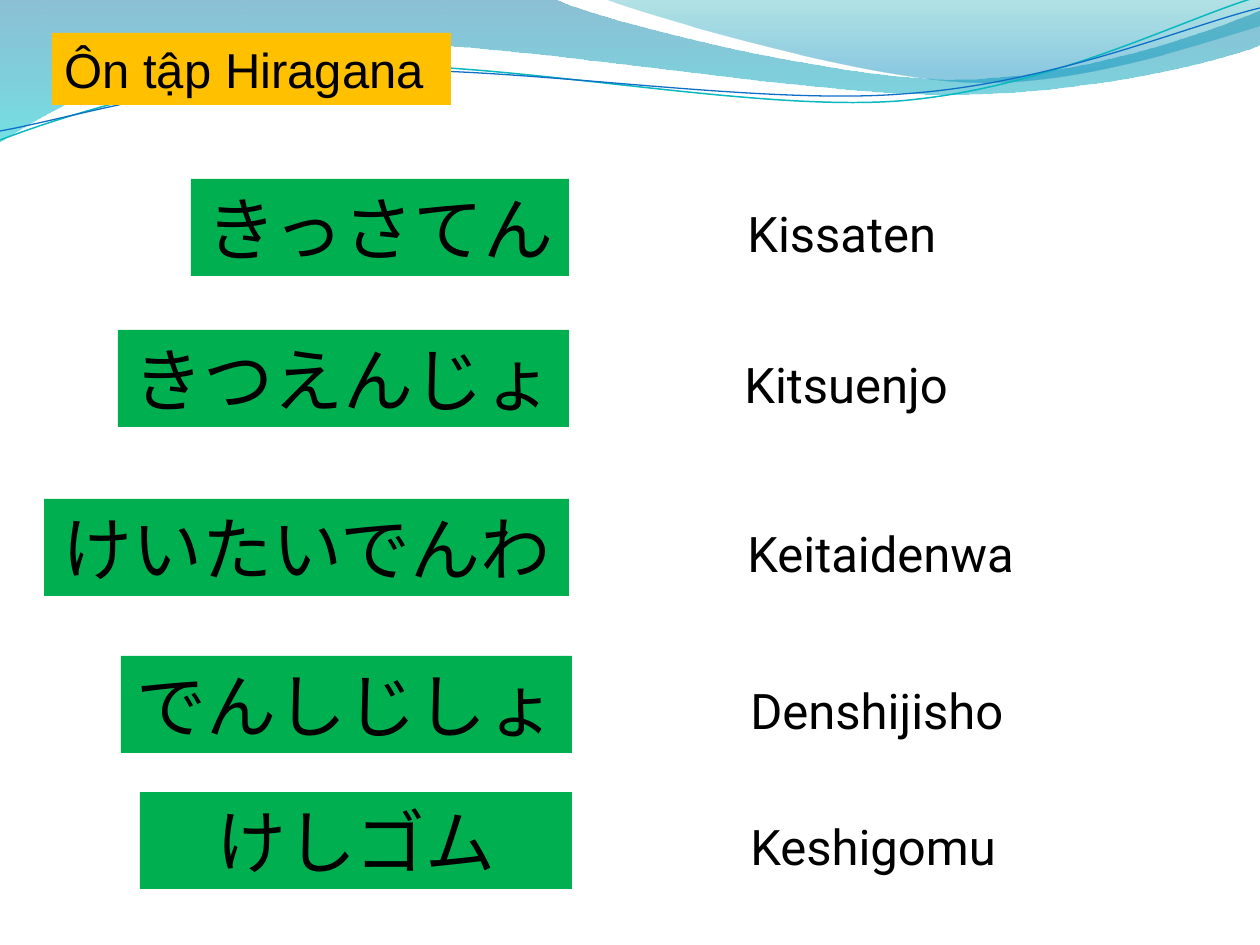
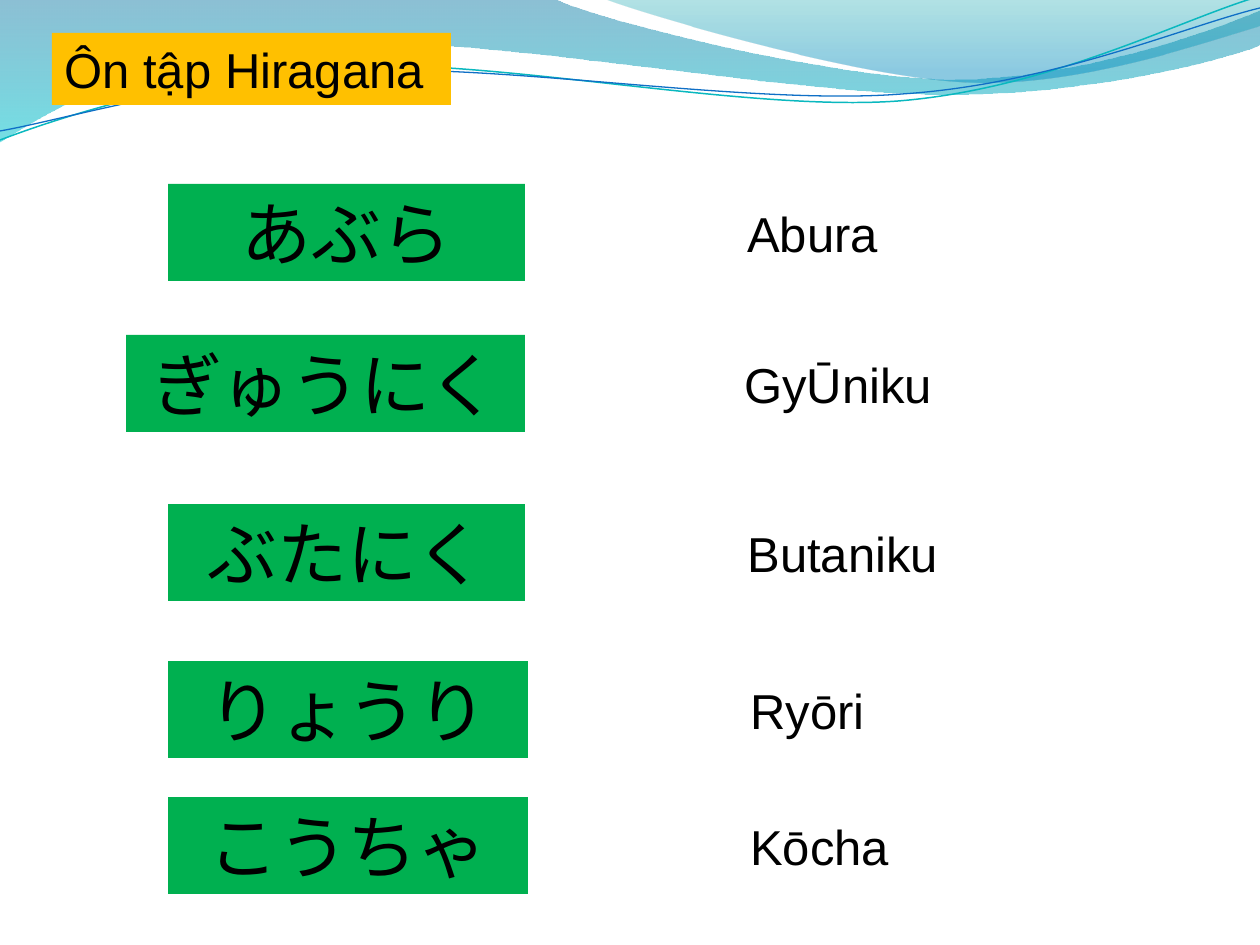
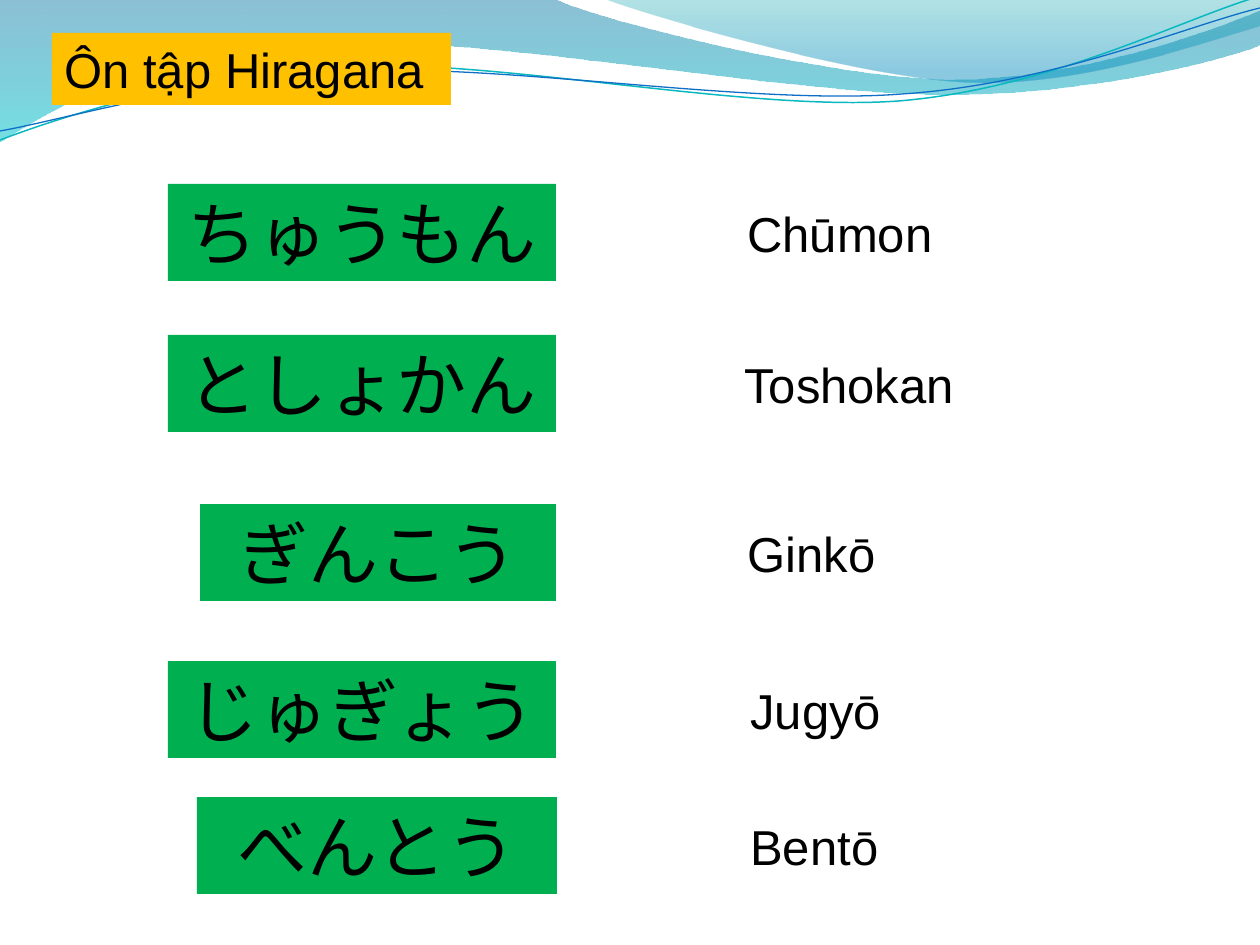
from pptx import Presentation
from pptx.dml.color import RGBColor
from pptx.enum.shapes import MSO_SHAPE
from pptx.enum.text import MSO_ANCHOR, MSO_AUTO_SIZE, PP_ALIGN
from pptx.oxml.ns import qn
from pptx.util import Emu, Pt
from lxml import etree

SCALE = 914400 / 126  # EMU in one px
WIDE, HIGH = 1260, 945

RECT = MSO_SHAPE.RECTANGLE
TOP = MSO_ANCHOR.TOP
GROW, FIXED = MSO_AUTO_SIZE.SHAPE_TO_FIT_TEXT, MSO_AUTO_SIZE.NONE
LEFT, CENTER = PP_ALIGN.LEFT, PP_ALIGN.CENTER

BLACK = RGBColor(0x00, 0x00, 0x00)
GREEN = RGBColor(0x00, 0xB0, 0x50)
AMBER = RGBColor(0xFF, 0xC0, 0x00)
TEAL = RGBColor(0x0A, 0xB8, 0xBF)
BLUE = RGBColor(0x0F, 0x6F, 0xC6)
DEEP = RGBColor(0x00, 0x74, 0xA1)
AQUA = RGBColor(0x00, 0xC6, 0xCF)
SEA = RGBColor(0x00, 0xA1, 0xA9)
SKY = RGBColor(0x00, 0x8B, 0xBF)

# Outlines: a start point, then lines (x, y) and curves (two handles, end)
BANDS = [
    ([(0, 0), (554, -1), (600, 21, 837, 79, 955, 79),
      (1075, 79, 1207, 33, 1260, 11), (1261, 45),
      (1239, 55, 1096, 96, 940, 94), (784, 94, 481, 35, 324, 43),
      (163, 45, 58, 105, -1, 142)],
     [(0, DEEP, 45), (1, AQUA, 55)]),
    ([(604, -1), (641, 14, 859, 78, 969, 82),
      (1079, 87, 1211, 40, 1260, 26), (1260, 0)],
     [(0, SEA, 30), (0.8, SKY, 45)]),
]
LINES = [
    ([(0, 140), (60, 117, 199, 72, 349, 66), (498, 59, 747, 112, 898, 101),
      (1049, 89, 1182, 19, 1257, -3)], TEAL, 0.85),
    ([(0, 131), (59, 121, 207, 77, 357, 71), (508, 64, 752, 106, 903, 94),
      (1053, 84, 1186, 26, 1260, 8)], BLUE, 0.75),
]

TITLE = "Ôn tập Hiragana"
TITLE_BOX = (52, 33, 399, 72)
KANA_H, SOUND_H = 97, 72
# Left, top and width of the reading in each row
ROWS = [(735, 197, 277), (732, 348, 277), (735, 517, 346),
        (738, 674, 346), (738, 810, 346)]

# Font of the readings, rise of the kana above them,
# then kana, reading, and left and width of the kana box
DECK = [
    ("Roboto", 18, [
        ("きっさてん", "Kissaten", 191, 378),
        ("きつえんじょ", "Kitsuenjo", 118, 451),
        ("けいたいでんわ", "Keitaidenwa", 44, 525),
        ("でんしじしょ", "Denshijisho", 121, 451),
        ("けしゴム", "Keshigomu", 140, 432)]),
    ("Arial", 13, [
        ("あぶら", "Abura", 168, 357),
        ("ぎゅうにく", "GyŪniku", 126, 399),
        ("ぶたにく", "Butaniku", 168, 357),
        ("りょうり", "Ryōri", 168, 360),
        ("こうちゃ", "Kōcha", 168, 360)]),
    ("Arial", 13, [
        ("ちゅうもん", "Chūmon", 168, 388),
        ("としょかん", "Toshokan", 168, 388),
        ("ぎんこう", "Ginkō", 200, 356),
        ("じゅぎょう", "Jugyō", 168, 388),
        ("べんとう", "Bentō", 197, 360)]),
]


def px(n):
    return Emu(round(n * SCALE))


def write(shape, text, font="Arial", size=28, align=LEFT, fit=GROW):
    frame = shape.text_frame
    frame.word_wrap = True
    frame.auto_size = fit
    frame.vertical_anchor = TOP
    para = frame.paragraphs[0]
    para.alignment = align
    run = para.add_run()
    run.text = text
    run.font.name = font
    run.font.size = Pt(size)
    run.font.color.rgb = BLACK


def paint(shape, color):
    shape.fill.solid()
    shape.fill.fore_color.rgb = color
    shape.line.fill.background()


def draw(slide, points, close):
    """Build an outline, then join each curve's three points into one."""
    start, *parts = points
    dots = [part[i:i + 2] for part in parts for i in range(0, len(part), 2)]
    pen = slide.shapes.build_freeform(*start, scale=SCALE)
    pen.add_line_segments(dots, close=close)
    shape = pen.convert_to_shape()
    shape.shadow.inherit = False
    legs = iter(list(shape.element.iter(qn("a:lnTo"))))
    for part in parts:
        leg = next(legs)
        if len(part) == 6:
            leg.tag = qn("a:cubicBezTo")
            for _ in range(2):
                extra = next(legs)
                leg.append(extra[0])
                extra.getparent().remove(extra)
    return shape


def add_waves(slide, layout):
    """Draw the top waves and hand them to the shared layout."""
    waves = []
    for points, stops in BANDS:
        band = draw(slide, points, True)
        band.line.fill.background()
        band.fill.gradient()
        band.fill.gradient_angle = 270
        for stop, (place, color, _) in zip(band.fill.gradient_stops, stops):
            stop.position = place
            stop.color.rgb = color
        for node, (_, _, alpha) in zip(band.element.iter(qn("a:srgbClr")), stops):
            etree.SubElement(node, qn("a:alpha")).set("val", str(alpha * 1000))
        waves.append(band)
    for points, color, width in LINES:
        line = draw(slide, points, False)
        line.fill.background()
        line.line.color.rgb = color
        line.line.width = Pt(width)
        waves.append(line)
    for i, wave in enumerate(waves):
        wave.element.nvSpPr.cNvPr.set("id", str(100 + i))
        layout.element.cSld.spTree.append(wave.element)


def add_title(slide, box):
    title = slide.shapes.title
    title.left, title.top, title.width, title.height = map(px, box)
    paint(title, AMBER)
    write(title, TITLE, fit=FIXED)


def add_row(slide, row, word, font, rise):
    x, y, w = row
    kana, sound, left, width = word
    # Kana on green
    card = slide.shapes.add_shape(
        RECT, px(left), px(y - rise), px(width), px(KANA_H))
    card.shadow.inherit = False
    paint(card, GREEN)
    write(card, kana, font="Roboto", size=40, align=CENTER)
    # Reading beside it
    label = slide.shapes.add_textbox(px(x), px(y), px(w), px(SOUND_H))
    write(label, sound, font=font)


def main():
    deck = Presentation()
    deck.slide_width, deck.slide_height = px(WIDE), px(HIGH)
    layout = deck.slide_layouts[5]  # title only
    for i, (font, rise, words) in enumerate(DECK):
        slide = deck.slides.add_slide(layout)
        if i == 0:
            add_waves(slide, layout)
        add_title(slide, TITLE_BOX)
        for row, word in zip(ROWS, words):
            add_row(slide, row, word, font, rise)
    deck.save("out.pptx")


if __name__ == "__main__":
    main()
